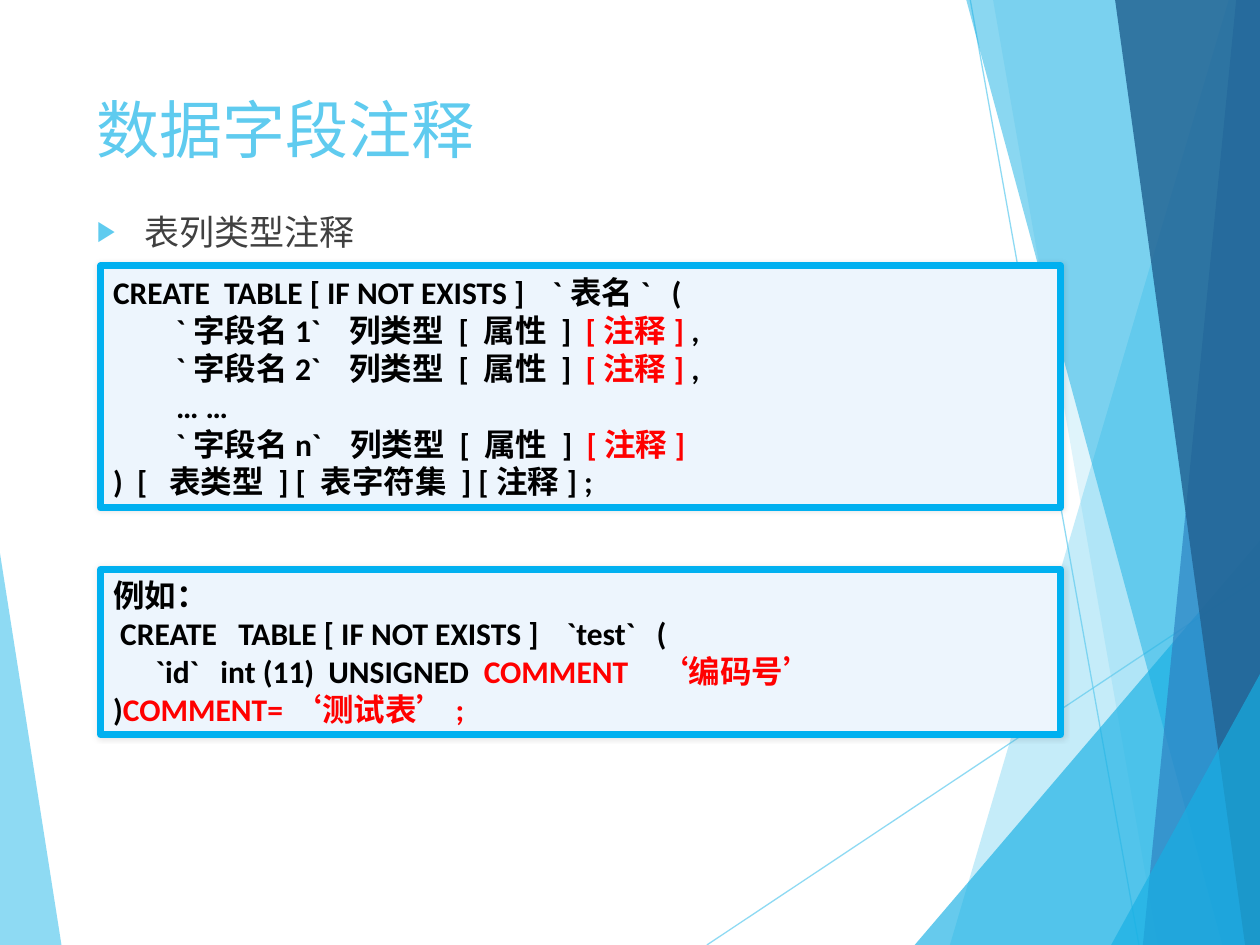
from lxml.etree import SubElement
from pptx import Presentation
from pptx.dml.color import RGBColor
from pptx.enum.shapes import MSO_CONNECTOR, MSO_SHAPE
from pptx.enum.text import MSO_ANCHOR, MSO_AUTO_SIZE, PP_ALIGN
from pptx.oxml.ns import qn
from pptx.util import Cm, Pt

SKY = RGBColor(0x5F, 0xCB, 0xEF)
CYAN = RGBColor(0x17, 0xB0, 0xE4)
BLUE = RGBColor(0x2E, 0x83, 0xC3)
NAVY = RGBColor(0x22, 0x62, 0x92)
GRAY = RGBColor(0x40, 0x40, 0x40)
BLACK = RGBColor(0, 0, 0)
RED = RGBColor(0xFF, 0, 0)
PALE = RGBColor(0xED, 0xF5, 0xFD)
BORDER = RGBColor(0x00, 0xB0, 0xF0)
CJK_FONT = "Noto Sans CJK SC"
CODE_FONT = "Calibri"
WIDTH, HEIGHT = 25.4, 19.05

RAYS = [((14.25, HEIGHT), (WIDTH, 11.63)), ((19.56, 0), (22.96, HEIGHT))]
LEFT_FACET = ([(0, 11.15), (1.24, HEIGHT), (0, HEIGHT)], SKY, 70)
# Top x, top y, bottom x, colour and opacity; each facet reaches the right edge.
RIGHT_FACETS = [
    (24.77, 0, 19.15, SKY, 36),
    (20.02, 0, 23.34, SKY, 20),
    (WIDTH, 10.9, 18.44, CYAN, 66),
    (19.48, 0, 24.64, CYAN, 50),
    (24.92, 0, 23.04, BLUE, 70),
    (22.48, 0, 25.1, NAVY, 82),
    (WIDTH, 13.59, 22.4, CYAN, 66),
]


def set_opacity(shape, percent):
    """Make every colour of the shape partly transparent."""
    for color in shape._element.spPr.iter(qn("a:srgbClr")):
        SubElement(color, qn("a:alpha")).set("val", str(percent * 1000))


def style_run(span, font, size, color, bold=False):
    """Give a run its Latin and East Asian font, size and colour."""
    span.font.name = font
    span.font.size = Pt(size)
    span.font.bold = bold
    span.font.color.rgb = color
    SubElement(span._r.get_or_add_rPr(), qn("a:ea")).set("typeface", CJK_FONT)


def place(box, left, top, width, height):
    """Move a placeholder to the given box in centimetres."""
    box.left, box.top = Cm(left), Cm(top)
    box.width, box.height = Cm(width), Cm(height)
    box.text_frame.word_wrap = True
    box.text_frame.auto_size = MSO_AUTO_SIZE.NONE
    box.text_frame.vertical_anchor = MSO_ANCHOR.TOP


def add_backdrop(page, left, top, width, height):
    """Draw the facets and rays behind the text."""
    group = page.shapes.add_group_shape()

    def add_facet(points, color, opacity):
        corners = [(Cm(left + x), Cm(top + y)) for x, y in points]
        builder = group.shapes.build_freeform(*corners[0])
        builder.add_line_segments(corners[1:], close=True)
        facet = builder.convert_to_shape()
        facet.shadow.inherit = False
        facet.fill.solid()
        facet.fill.fore_color.rgb = color
        facet.line.fill.background()
        set_opacity(facet, opacity)

    add_facet(*LEFT_FACET)
    for start, end in RAYS:
        ray = group.shapes.add_connector(
            MSO_CONNECTOR.STRAIGHT,
            Cm(left + start[0]), Cm(top + start[1]),
            Cm(left + end[0]), Cm(top + end[1]))
        ray.line.color.rgb = SKY
        ray.line.width = Pt(0.75)
        set_opacity(ray, 70)
        SubElement(ray._element.spPr, qn("a:effectLst"))
    for top_x, top_y, bottom_x, color, opacity in RIGHT_FACETS:
        points = [(top_x, top_y), (bottom_x, height), (width, height)]
        if top_x < width:
            points.append((width, top_y))
        add_facet(points, color, opacity)
    page.shapes._spTree.insert(2, group._element)


def fill_title(page, text, *bounds):
    """Write the slide title."""
    title = page.shapes.title
    place(title, *bounds)
    title.text_frame.text = text
    para = title.text_frame.paragraphs[0]
    para.alignment = PP_ALIGN.LEFT
    style_run(para.runs[0], CJK_FONT, 36, SKY)


def fill_body(page, text, *bounds):
    """Write the bulleted line of the body."""
    body = page.placeholders[1]
    place(body, *bounds)
    body.text_frame.text = text
    para = body.text_frame.paragraphs[0]
    para.space_before = Pt(10)
    style_run(para.runs[0], CJK_FONT, 20, GRAY)
    properties = para._p.get_or_add_pPr()
    properties.set("marL", str(Cm(0.95)))
    properties.set("indent", str(-Cm(0.95)))
    bullet_color = SubElement(properties, qn("a:buClr"))
    SubElement(bullet_color, qn("a:srgbClr")).set("val", str(SKY))
    SubElement(properties, qn("a:buSzPct")).set("val", "80000")
    SubElement(properties, qn("a:buChar")).set("char", "▶")


def add_code_box(page, lines, left, top, width, height):
    """Add a code panel; lines hold a level and runs, alternately black and red."""
    box = page.shapes.add_shape(
        MSO_SHAPE.RECTANGLE, Cm(left), Cm(top), Cm(width), Cm(height))
    box.fill.solid()
    box.fill.fore_color.rgb = PALE
    box.line.color.rgb = BORDER
    box.line.width = Pt(4)
    box.shadow.inherit = False
    effects = box._element.spPr.find(qn("a:effectLst"))
    shadow = SubElement(effects, qn("a:outerShdw"), blurRad=str(Pt(3)), dist="0")
    tint = SubElement(shadow, qn("a:srgbClr"), val=str(BLACK))
    SubElement(tint, qn("a:alpha"), val="10000")

    frame = box.text_frame
    frame.word_wrap = True
    frame.vertical_anchor = MSO_ANCHOR.MIDDLE
    for number, (level, texts) in enumerate(lines):
        para = frame.add_paragraph() if number else frame.paragraphs[0]
        para.alignment = PP_ALIGN.JUSTIFY
        para.level = level
        para._p.get_or_add_pPr().set("marL", str(Cm(1.27 * level)))
        for position, text in enumerate(texts):
            span = para.add_run()
            span.text = text
            style_run(span, CODE_FONT, 18, RED if position % 2 else BLACK, True)


def field_line(name, ending):
    """Return the code line that declares one field."""
    return 1, [f"`字段名{name}`   列类型 [ 属性 ]  ", "[注释] "] + ending


SYNTAX = [
    (0, ["CREATE  TABLE [ IF NOT EXISTS ]    `表名`   ("]),
    field_line("1", [","]),
    field_line("2", [","]),
    (1, ["… …"]),
    field_line("n", []),
    (0, [")  [  表类型 ] [ 表字符集 ] [注释] ;"]),
]
EXAMPLE = [
    (0, ["例如："]),
    (0, [" CREATE   TABLE [ IF NOT EXISTS ]    `test`   ("]),
    (0, ["      `id`   int (11)  UNSIGNED  ", "COMMENT   ‘编码号’"]),
    (0, [")", "COMMENT=‘测试表’;"]),
]

deck = Presentation()
deck.slide_width, deck.slide_height = Cm(WIDTH), Cm(HEIGHT)
page = deck.slides.add_slide(deck.slide_layouts[1])
add_backdrop(page, 0, 0, WIDTH, HEIGHT)
fill_title(page, "数据字段注释", 1.7, 1.7, 21.41, 1.8)
fill_body(page, "表列类型注释", 1.7, 4.11, 21.41, 12.24)
add_code_box(page, SYNTAX, 2.03, 5.36, 19.35, 4.88)
add_code_box(page, EXAMPLE, 2.03, 11.48, 19.35, 3.33)
deck.save("out.pptx")
